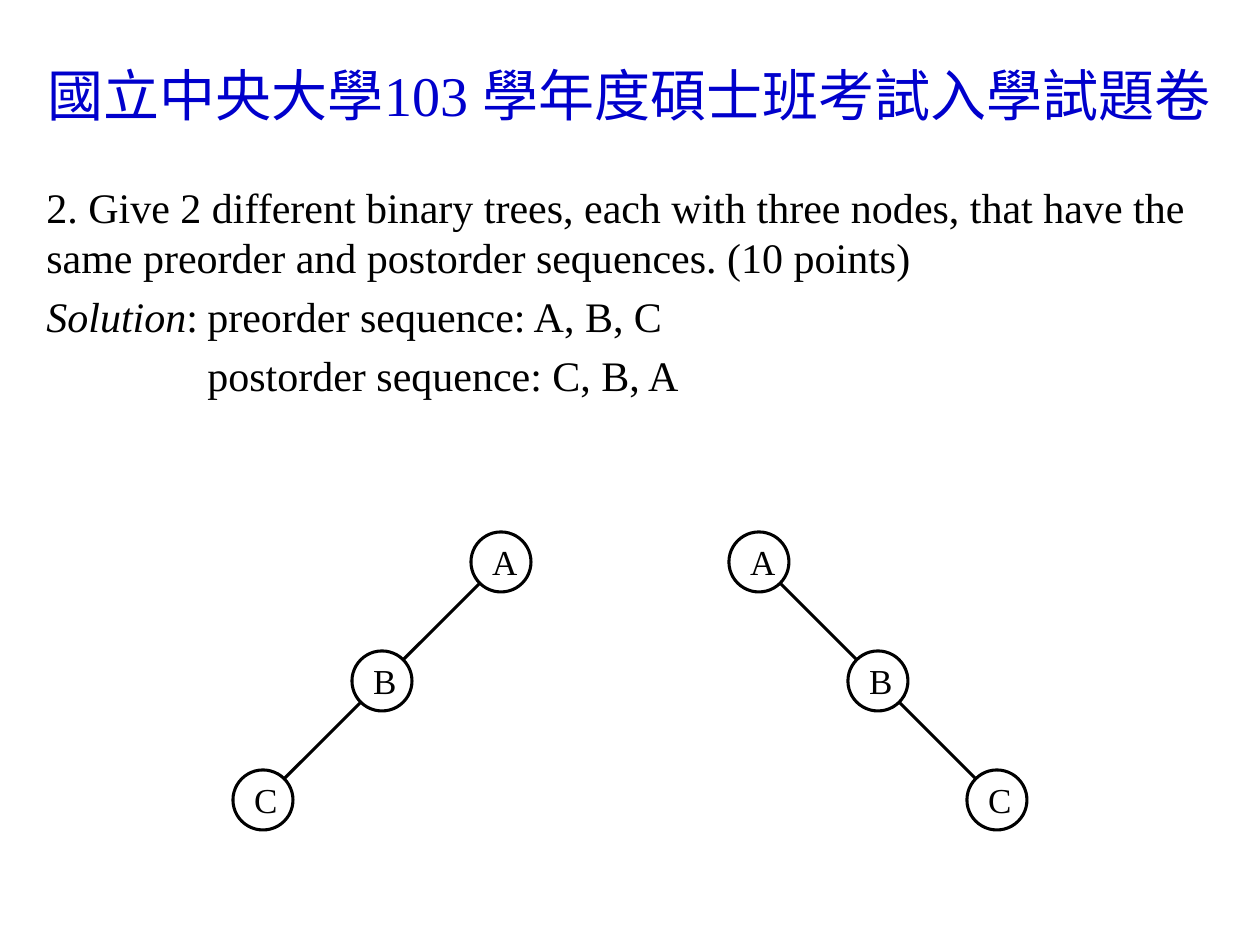
import pptx
import pptx.dml.color
import pptx.enum.shapes
import pptx.enum.text
import pptx.oxml.ns
import pptx.util
from lxml import etree

PX = 914400 // 126
BLACK = pptx.dml.color.RGBColor(0, 0, 0)
WHITE = pptx.dml.color.RGBColor(255, 255, 255)
BLUE = pptx.dml.color.RGBColor(0, 0, 0xCC)
FONT = "Times New Roman"
LINE_WIDTH = pptx.util.Pt(1.75)
ALIGN = pptx.enum.text.PP_ALIGN
ANCHOR = pptx.enum.text.MSO_ANCHOR


def style_runs(paragraph, size, color):
    for span in paragraph.runs:
        span.font.name = FONT
        span.font.size = pptx.util.Pt(size)
        span.font.color.rgb = color


deck = pptx.Presentation()
deck.slide_width = pptx.util.Inches(10)
deck.slide_height = pptx.util.Inches(7.5)
page = deck.slides.add_slide(deck.slide_layouts[5])

# Title
title = page.shapes.title
title.left, title.top, title.width, title.height = [v * PX for v in (34, 35, 1191, 118)]
title.text_frame.text = "國立中央大學103 學年度碩士班考試入學試題卷"
title.text_frame.auto_size = pptx.enum.text.MSO_AUTO_SIZE.NONE
title.text_frame.vertical_anchor = ANCHOR.MIDDLE
title.text_frame.paragraphs[0].alignment = ALIGN.CENTER
style_runs(title.text_frame.paragraphs[0], 32, BLUE)

# Question and solution; the indent lines up the two sequences
box = page.shapes.add_textbox(34 * PX, 175 * PX, 1191 * PX, 258 * PX)
box.text_frame.word_wrap = True
box.text_frame.text = (
    "2. Give 2 different binary trees, each with three nodes, that have the "
    "same preorder and postorder sequences. (10 points)\n"
    "Solution\n"
    "postorder sequence: C, B, A"
)
question, solution, postorder = box.text_frame.paragraphs
solution.runs[0].font.italic = True
solution.add_run().text = ":\tpreorder sequence: A, B, C"
for para, margin, indent in ((question, 0, 0), (solution, 161, -161), (postorder, 161, 0)):
    para.space_before = pptx.util.Pt(5)
    properties = para._p.get_or_add_pPr()
    properties.set("marL", str(margin * PX))
    properties.set("indent", str(indent * PX))
    style_runs(para, 24, BLACK)

# Two mirrored trees: each child lies one step down and one step outwards
NODE = 60
STEP = 119
EDGE_INSET = 21
ROOT_Y = 562
for root_x, direction in ((759, 1), (501, -1)):
    centers = [(root_x + direction * STEP * level, ROOT_Y + STEP * level) for level in range(3)]

    # Edges
    for (x1, y1), (x2, y2) in zip(centers, centers[1:]):
        edge = page.shapes.add_connector(
            pptx.enum.shapes.MSO_CONNECTOR.STRAIGHT,
            (x1 + direction * EDGE_INSET) * PX, (y1 + EDGE_INSET) * PX,
            (x2 - direction * EDGE_INSET) * PX, (y2 - EDGE_INSET) * PX,
        )
        edge.line.color.rgb = BLACK
        edge.line.width = LINE_WIDTH
        etree.SubElement(edge._element.spPr, pptx.oxml.ns.qn("a:effectLst"))

    # Nodes
    for name, (x, y) in zip("ABC", centers):
        node = page.shapes.add_shape(
            pptx.enum.shapes.MSO_SHAPE.OVAL,
            (x - NODE // 2) * PX, (y - NODE // 2) * PX, NODE * PX, NODE * PX,
        )
        node.shadow.inherit = False
        node.fill.solid()
        node.fill.fore_color.rgb = WHITE
        node.line.color.rgb = BLACK
        node.line.width = LINE_WIDTH
        frame = node.text_frame
        frame.text = name
        frame.word_wrap = True
        frame.vertical_anchor = ANCHOR.BOTTOM
        frame.margin_top = 0
        frame.margin_bottom = PX
        frame.paragraphs[0].alignment = ALIGN.CENTER
        style_runs(frame.paragraphs[0], 20, BLACK)

deck.save("out.pptx")
